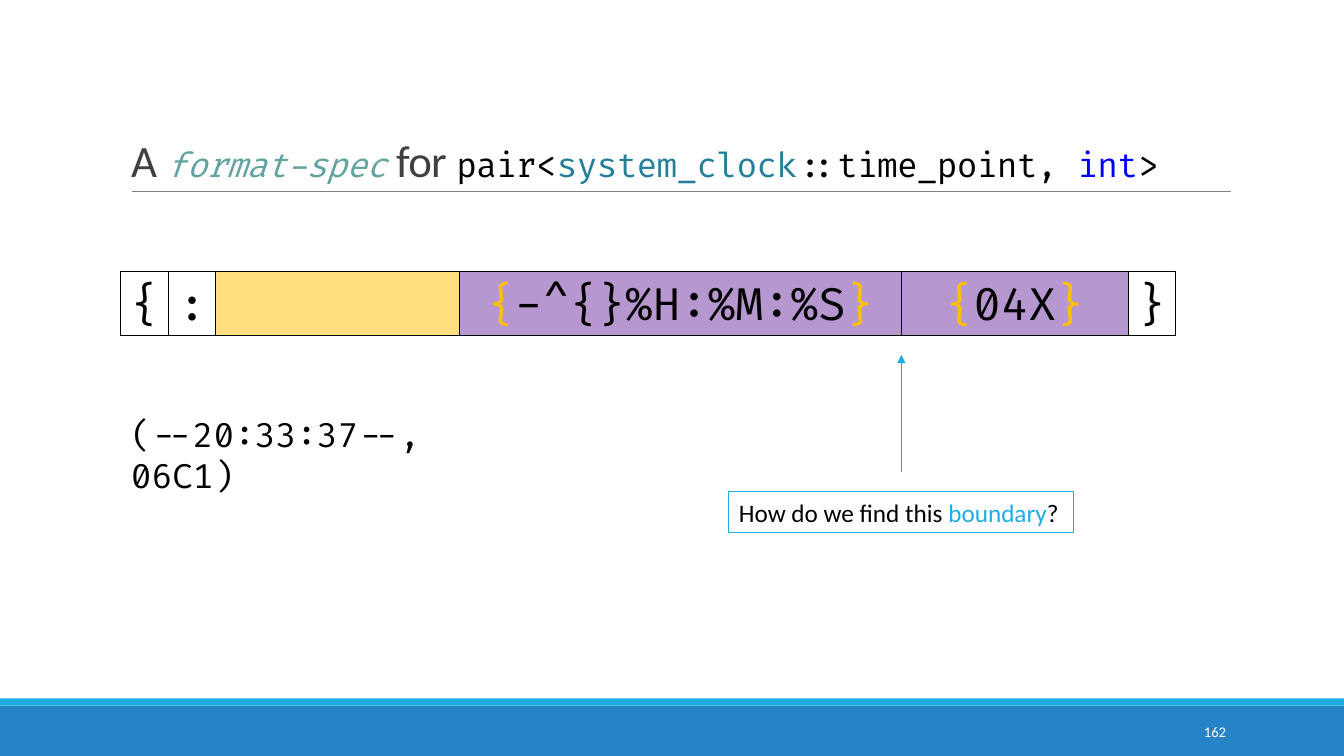
"""Build the slide on the format-spec for a pair of time point and int."""
import dataclasses
import itertools

import pptx
import pptx.dml.color
import pptx.enum.shapes
import pptx.enum.text
import pptx.oxml
import pptx.oxml.ns
import pptx.util

Inches = pptx.util.Inches
Pt = pptx.util.Pt
Shape = pptx.enum.shapes.MSO_SHAPE
Anchor = pptx.enum.text.MSO_ANCHOR
Align = pptx.enum.text.PP_ALIGN
AutoSize = pptx.enum.text.MSO_AUTO_SIZE


@dataclasses.dataclass(frozen=True)
class Theme:
    sans: str = "Calibri"
    mono: str = "Fira Code"
    heading_size: float = 32
    code_size: float = 24
    callout_size: float = 18
    number_size: float = 10.5
    black: str = "000000"
    white: str = "FFFFFF"
    heading: str = "404040"
    rule: str = "808080"
    term: str = "62A39F"
    type_name: str = "267F99"
    keyword: str = "0000FF"
    gold: str = "FFC000"
    purple: str = "7030A0"
    accent: str = "1CADE4"
    footer: str = "2683C6"


theme = Theme()


def rgb(value):
    return pptx.dml.color.RGBColor.from_string(value)


def write(frame, runs, font, size, align=Align.LEFT, anchor=Anchor.TOP, wrap=True):
    frame.word_wrap = wrap
    frame.vertical_anchor = anchor
    paragraph = frame.paragraphs[0]
    paragraph.alignment = align
    for text, color in runs:
        run = paragraph.add_run()
        run.text = text
        run.font.name = font
        run.font.size = Pt(size)
        run.font.color.rgb = rgb(color)
    return paragraph


deck = pptx.Presentation()
deck.slide_width = Inches(13.33)
deck.slide_height = Inches(7.5)
slide = deck.slides.add_slide(deck.slide_layouts[5])
shapes = slide.shapes

for top, height, color in [(7, 0.5, theme.footer), (6.93, 0.07, theme.accent)]:
    band = shapes.add_shape(Shape.RECTANGLE, 0, Inches(top), deck.slide_width, Inches(height))
    band.shadow.inherit = False
    band.fill.solid()
    band.fill.fore_color.rgb = rgb(color)
    band.line.fill.background()

title = shapes.title
title.left, title.top = Inches(1.2), Inches(0.31)
title.width, title.height = Inches(11), Inches(1.59)
title.text_frame.auto_size = AutoSize.NONE
heading = write(title.text_frame, [
    ("A ", theme.heading),
    ("format-spec", theme.term),
    (" for ", theme.heading),
    ("pair<", theme.black),
    ("system_clock", theme.type_name),
    ("::time_point, ", theme.black),
    ("int", theme.keyword),
    (">", theme.black),
], theme.mono, theme.code_size, anchor=Anchor.BOTTOM)
heading.line_spacing = 0.85
for run in heading.runs:
    run.font._element.set("spc", "-50")
for word in (heading.runs[0], heading.runs[2]):
    word.font.name = theme.sans
    word.font.size = Pt(theme.heading_size)
heading.runs[1].font.italic = True

edges = [1.2, 1.67, 2.14, 4.56, 8.94, 11.19, 11.66]
boundary = edges[4]
fields = [
    ([("{", theme.black)], None, Align.LEFT),
    ([(":", theme.black)], None, Align.LEFT),
    ([], theme.gold, Align.CENTER),
    ([("{", theme.gold), ("-^{}%H:%M:%S", theme.black), ("}", theme.gold)],
     theme.purple, Align.CENTER),
    ([("{", theme.gold), ("04X", theme.black), ("}", theme.gold)], theme.purple, Align.CENTER),
    ([("}", theme.black)], None, Align.LEFT),
]
for (left, right), (runs, tint, align) in zip(itertools.pairwise(edges), fields):
    field = shapes.add_shape(
        Shape.RECTANGLE, Inches(left), Inches(2.69), Inches(right - left), Inches(0.64))
    field.shadow.inherit = False
    field.line.color.rgb = rgb(theme.black)
    field.line.width = Pt(0.75)
    if tint:
        field.fill.solid()
        field.fill.fore_color.rgb = rgb(tint)
        fill_color = field.element.spPr.find("a:solidFill/a:srgbClr", pptx.oxml.ns._nsmap)
        fill_color.append(pptx.oxml.parse_xml(
            f'<a:alpha {pptx.oxml.ns.nsdecls("a")} val="50000"/>'))
    else:
        field.fill.background()
    if runs:
        write(field.text_frame, runs, theme.mono, theme.heading_size, align)

output = shapes.add_textbox(Inches(1.2), Inches(4.06), Inches(4.23), Inches(0.5))
write(output.text_frame, [("(--20:33:37--, 06C1)", theme.black)], theme.mono, theme.code_size)
output.text_frame.auto_size = AutoSize.SHAPE_TO_FIT_TEXT

lines = [
    (1.31, 1.9, 12.21, 1.9, theme.rule, 0.5, False),
    (boundary, 4.68, boundary, 3.52, theme.accent, 1, True),
]
for x1, y1, x2, y2, color, weight, arrow in lines:
    line = shapes.add_connector(
        pptx.enum.shapes.MSO_CONNECTOR.STRAIGHT, Inches(x1), Inches(y1), Inches(x2), Inches(y2))
    line.line.color.rgb = rgb(color)
    line.line.width = Pt(weight)
    if arrow:
        line.line._get_or_add_ln().append(pptx.oxml.parse_xml(
            f'<a:tailEnd {pptx.oxml.ns.nsdecls("a")} type="triangle"/>'))
    line.element.spPr.append(pptx.oxml.parse_xml(
        f'<a:effectLst {pptx.oxml.ns.nsdecls("a")}/>'))

question = shapes.add_shape(
    Shape.RECTANGLE, Inches(7.23), Inches(4.88), Inches(3.42), Inches(0.4))
question.shadow.inherit = False
question.fill.background()
question.line.color.rgb = rgb(theme.accent)
question.line.width = Pt(0.75)
write(question.text_frame, [
    ("How do we find this ", theme.black),
    ("boundary", theme.accent),
    ("?", theme.black),
], theme.sans, theme.callout_size, wrap=False)

page_number = shapes.add_textbox(Inches(10.83), Inches(7.06), Inches(1.43), Inches(0.4))
write(page_number.text_frame, [("162", theme.white)], theme.sans, theme.number_size,
      Align.RIGHT, Anchor.MIDDLE)

deck.save("out.pptx")
